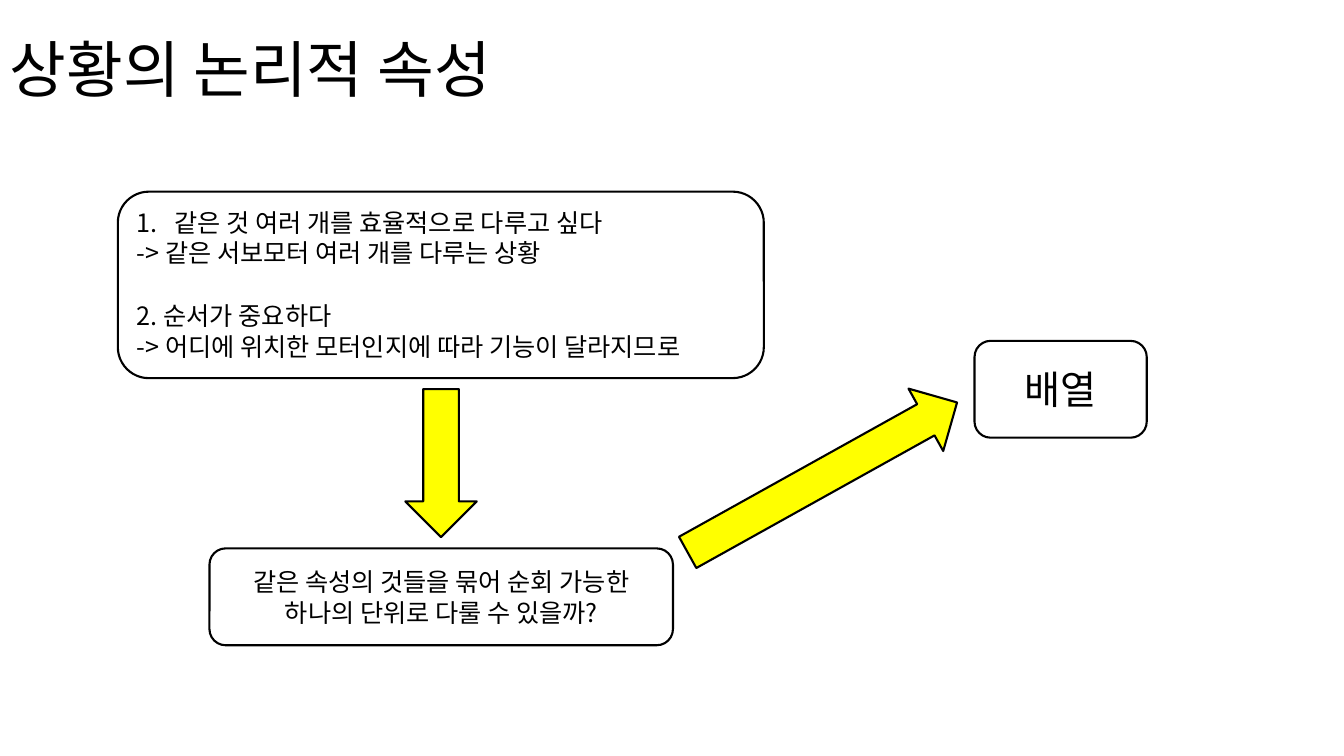
from dataclasses import dataclass

from lxml.etree import SubElement
from pptx import Presentation
from pptx.dml.color import RGBColor
from pptx.enum.shapes import MSO_SHAPE
from pptx.enum.text import MSO_ANCHOR, PP_ALIGN
from pptx.oxml.ns import qn
from pptx.shapes.autoshape import Shape
from pptx.slide import Slide
from pptx.util import Cm, Pt


@dataclass(frozen=True)
class Theme:
    font: str = "Noto Sans CJK KR"
    ink: RGBColor = RGBColor(0, 0, 0)
    paper: RGBColor = RGBColor(255, 255, 255)
    arrow: RGBColor = RGBColor(255, 255, 0)
    line: float = 1.5
    title: int = 44
    answer: int = 28
    body: int = 18


@dataclass(frozen=True)
class Area:
    left: float
    top: float
    width: float
    height: float


@dataclass(frozen=True)
class Label:
    area: Area
    text: str
    size: int
    line_spacing: float = 1.0
    numbered: bool = False


@dataclass(frozen=True)
class Box:
    area: Area
    text: str = ""
    size: int = 18


@dataclass(frozen=True)
class Arrow:
    area: Area
    rotation: float


THEME = Theme()

LABELS = [
    Label(Area(0, 0, 29.21, 3.68), "상황의 논리적 속성", THEME.title, line_spacing=0.9),
    Label(
        Area(3.2, 5.08, 13.74, 1.8),
        "같은 것 여러 개를 효율적으로 다루고 싶다\n-> 같은 서보모터 여러 개를 다루는 상황",
        THEME.body,
        numbered=True,
    ),
    Label(
        Area(3.2, 7.44, 16.05, 1.8),
        "2. 순서가 중요하다\n-> 어디에 위치한 모터인지에 따라 기능이 달라지므로",
        THEME.body,
    ),
]
BOXES = [
    Box(Area(2.97, 4.83, 16.28, 4.7)),
    Box(
        Area(5.28, 13.82, 11.68, 2.44),
        "같은 속성의 것들을 묶어 순회 가능한\n하나의 단위로 다룰 수 있을까?",
        THEME.body,
    ),
    Box(Area(24.56, 8.59, 4.34, 2.44), "배열", THEME.answer),
]
ARROWS = [
    Arrow(Area(9.25, 10.77, 3.73, 1.8), 90),
    Arrow(Area(16.84, 11.13, 7.77, 1.8), 330.9),
]


def place(area: Area) -> tuple[Cm, Cm, Cm, Cm]:
    return Cm(area.left), Cm(area.top), Cm(area.width), Cm(area.height)


def write(sp: Shape, text: str, size: int, align: PP_ALIGN, spacing: float = 1.0) -> None:
    tf = sp.text_frame
    tf.word_wrap = True
    tf.vertical_anchor = MSO_ANCHOR.MIDDLE
    tf.text = text
    for p in tf.paragraphs:
        p.alignment = align
        p.line_spacing = spacing
        for r in p.runs:
            r.font.name = THEME.font
            r.font.size = Pt(size)
            r.font.color.rgb = THEME.ink
            SubElement(r.font._element, qn("a:ea"), typeface=THEME.font)


def add_label(s: Slide, label: Label) -> None:
    sp = s.shapes.add_textbox(*place(label.area))
    write(sp, label.text, label.size, PP_ALIGN.LEFT, label.line_spacing)
    if label.numbered:
        pPr = sp.text_frame.paragraphs[0]._p.get_or_add_pPr()
        pPr.set("marL", str(Cm(0.95)))
        pPr.set("indent", str(Cm(-0.95)))
        SubElement(pPr, qn("a:buFont"), typeface=THEME.font)
        SubElement(pPr, qn("a:buAutoNum"), type="arabicPeriod")


def add_outlined(s: Slide, kind: MSO_SHAPE, area: Area, fill: RGBColor) -> Shape:
    sp = s.shapes.add_shape(kind, *place(area))
    sp.shadow.inherit = False
    sp.fill.solid()
    sp.fill.fore_color.rgb = fill
    sp.line.color.rgb = THEME.ink
    sp.line.width = Pt(THEME.line)
    return sp


def add_box(s: Slide, box: Box) -> None:
    sp = add_outlined(s, MSO_SHAPE.ROUNDED_RECTANGLE, box.area, THEME.paper)
    if box.text:
        write(sp, box.text, box.size, PP_ALIGN.CENTER)


def add_arrow(s: Slide, arrow: Arrow) -> None:
    sp = add_outlined(s, MSO_SHAPE.RIGHT_ARROW, arrow.area, THEME.arrow)
    sp.rotation = arrow.rotation


def main() -> None:
    prs = Presentation()
    prs.slide_width, prs.slide_height = Cm(33.87), Cm(19.05)
    s = prs.slides.add_slide(prs.slide_layouts[6])
    for box in BOXES:
        add_box(s, box)
    for label in LABELS:
        add_label(s, label)
    for arrow in ARROWS:
        add_arrow(s, arrow)
    prs.save("out.pptx")


if __name__ == "__main__":
    main()
